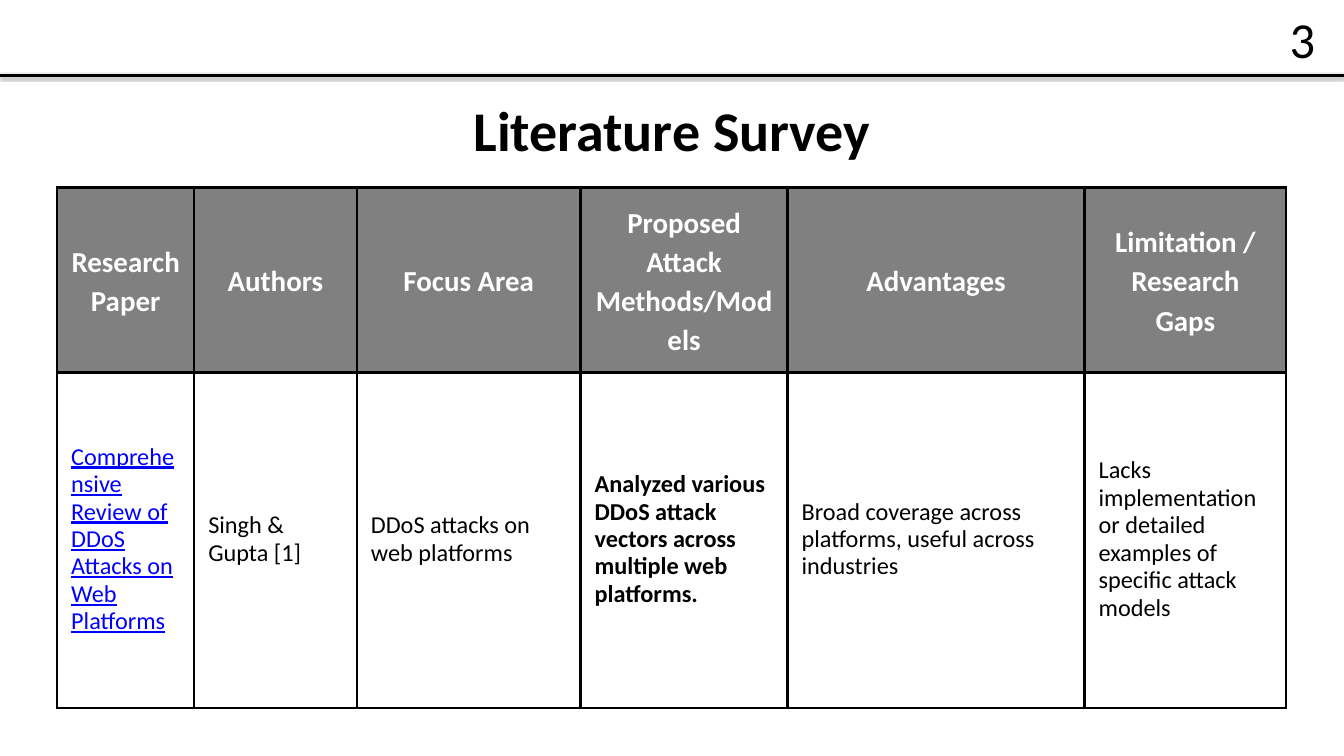
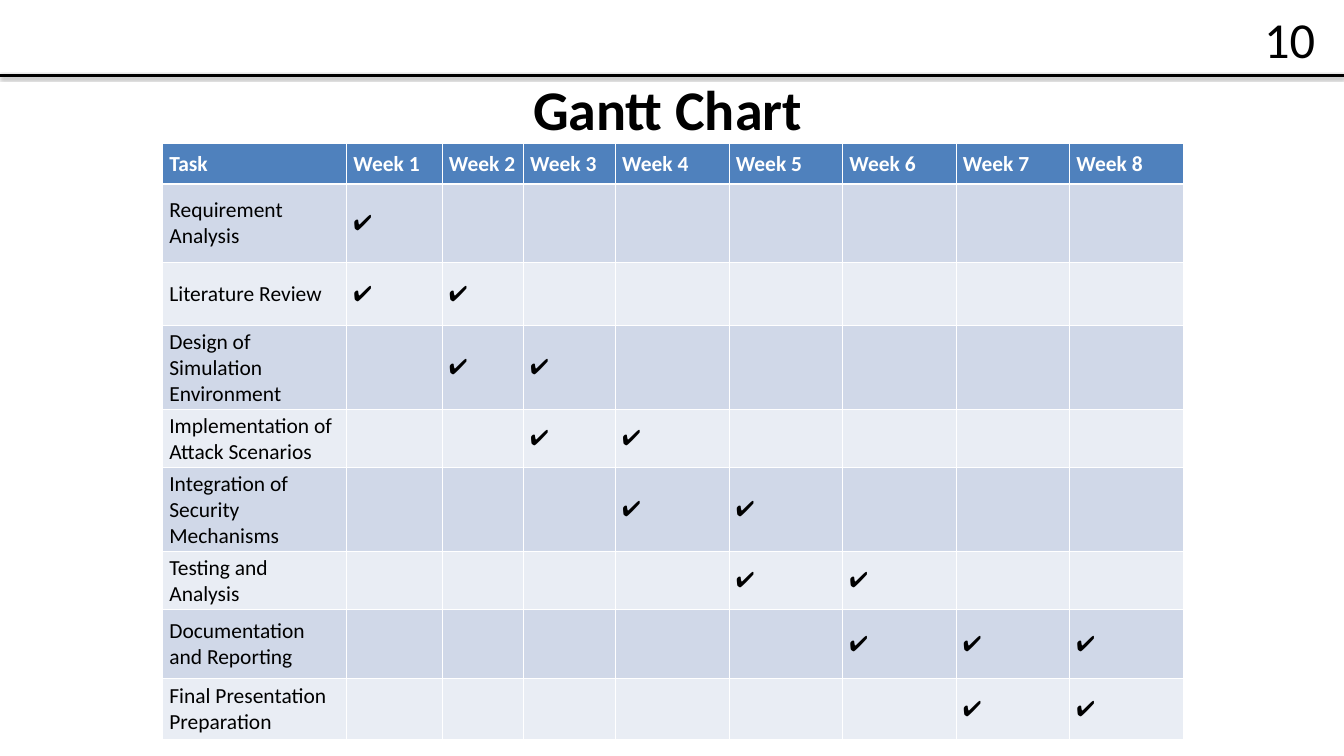
import pptx
import pptx.dml.color
import pptx.enum.shapes
import pptx.enum.text
import pptx.oxml
import pptx.oxml.ns
import pptx.util

PX = 9144  # 100 px to the inch
SLIDE_W, SLIDE_H = 2000, 1125
FONT = "Calibri"
COLORS = {
    "ink": "000000",
    "paper": "FFFFFF",
    "link": "0000FF",
    "survey_head": "808080",
    "gantt_head": "4F81BD",
    "band_dark": "D0D8E8",
    "band_light": "E9EDF4",
}
ALIGN = pptx.enum.text.PP_ALIGN
MIDDLE = pptx.enum.text.MSO_ANCHOR.MIDDLE

SURVEY_COLS = [204, 242, 333, 308, 442, 300]
SURVEY_ROWS = [121, 499]
SURVEY_HEAD = ["Research Paper", "Authors", "Focus Area",
               "Proposed Attack Methods/Models", "Advantages",
               "Limitation / Research Gaps"]
SURVEY_BODY = [
    ("Comprehensive Review of DDoS Attacks on Web Platforms",
     {"color": "link", "underline": True}),
    ("Singh & Gupta [1]", {}),
    ("DDoS attacks on web platforms", {}),
    ("Analyzed various DDoS attack vectors across multiple web platforms.",
     {"bold": True}),
    ("Broad coverage across platforms, useful across industries", {}),
    ("Lacks implementation or detailed examples of specific attack models", {}),
]

WEEKS = 8
GANTT_COLS = [274, 142, 121, 137] + [169] * 5
GANTT_HEAD_HEIGHT = 60
GANTT_TASKS = [  # task, first week, last week, row height
    ("Requirement Analysis", 1, 1, 117),
    ("Literature Review", 1, 2, 93),
    ("Design of Simulation Environment", 2, 3, 121),
    ("Implementation of Attack Scenarios", 3, 4, 84),
    ("Integration of Security Mechanisms", 4, 5, 121),
    ("Testing and Analysis", 5, 6, 77),
    ("Documentation and Reporting", 6, 8, 103),
    ("Final Presentation Preparation", 7, 8, 90),
]


def px(n):
    return pptx.util.Emu(n * PX)


def rgb(name):
    return pptx.dml.color.RGBColor.from_string(COLORS[name])


def write(tf, text, size, color="ink", bold=False, underline=False,
          align=ALIGN.LEFT, spacing=None):
    p = tf.paragraphs[0]
    p.alignment = align
    if spacing:
        p.line_spacing = pptx.util.Pt(spacing)
    r = p.add_run()
    r.text = text
    r.font.name = FONT
    r.font.size = pptx.util.Pt(size)
    r.font.bold = bold
    r.font.underline = underline
    r.font.color.rgb = rgb(color)


def add_text(slide, box, margins=None):
    tf = slide.shapes.add_textbox(*map(px, box)).text_frame
    tf.word_wrap = True
    if margins is not None:
        set_margins(tf, margins)
    return tf


def set_margins(target, margin):
    target.margin_left = target.margin_right = px(margin)
    target.margin_top = target.margin_bottom = px(margin)


def add_rule(slide):
    """Full-width line with a soft shadow below the page number."""
    line = slide.shapes.add_connector(
        pptx.enum.shapes.MSO_CONNECTOR.STRAIGHT,
        px(0), px(112), px(SLIDE_W), px(112))
    line.line.color.rgb = rgb("ink")
    line.line.width = pptx.util.Pt(3)
    line._element.spPr.append(pptx.oxml.parse_xml(
        f'<a:effectLst {pptx.oxml.ns.nsdecls("a")}>'
        '<a:outerShdw blurRad="40000" dist="23000" dir="5400000" rotWithShape="0">'
        f'<a:srgbClr val="{COLORS["ink"]}"><a:alpha val="35000"/></a:srgbClr>'
        '</a:outerShdw></a:effectLst>'))


def add_page(prs, title, title_box, number):
    """Blank slide with the shared rule, title and page number."""
    slide = prs.slides.add_slide(prs.slide_layouts[6])
    add_rule(slide)
    tf = add_text(slide, title_box, 0)
    tf.auto_size = pptx.enum.text.MSO_AUTO_SIZE.SHAPE_TO_FIT_TEXT
    write(tf, title, 60, bold=True, align=ALIGN.CENTER, spacing=77)
    tf = add_text(slide, (1700, 21, 267, 73))
    tf.vertical_anchor = MIDDLE
    write(tf, str(number), 54, align=ALIGN.RIGHT)
    return slide


def add_grid(slide, box, cols, rows):
    """Table without style options, with the given column and row sizes."""
    frame = slide.shapes.add_table(len(rows), len(cols), *map(px, box))
    table = frame.table
    table.first_row = table.horz_banding = False
    for column, width in zip(table.columns, cols):
        column.width = px(width)
    for row, height in zip(table.rows, rows):
        row.height = px(height)
    frame.width, frame.height = px(box[2]), px(box[3])
    return table


def style_cell(cell, border, fill=None, width=3, top=None, bottom=None):
    """Middle anchor, fill and four borders; widths in points."""
    cell.vertical_anchor = MIDDLE
    if fill:
        cell.fill.solid()
        cell.fill.fore_color.rgb = rgb(fill)
    else:
        cell.fill.background()
    tc_pr = cell._tc.get_or_add_tcPr()
    sides = {"L": width, "R": width, "T": top or width, "B": bottom or width}
    for i, (side, points) in enumerate(sides.items()):
        tc_pr.insert(i, pptx.oxml.parse_xml(
            f'<a:ln{side} {pptx.oxml.ns.nsdecls("a")} w="{points * 12700}">'
            f'<a:solidFill><a:srgbClr val="{COLORS[border]}"/></a:solidFill>'
            f'</a:ln{side}>'))


def add_survey_table(slide, box):
    table = add_grid(slide, box, SURVEY_COLS, SURVEY_ROWS)
    for c, (heading, (text, look)) in enumerate(zip(SURVEY_HEAD, SURVEY_BODY)):
        head, body = table.cell(0, c), table.cell(1, c)
        style_cell(head, "ink", "survey_head")
        style_cell(body, "ink")
        set_margins(head, 21)
        set_margins(body, 21)
        write(head.text_frame, heading, 31, "paper", bold=True,
              align=ALIGN.CENTER, spacing=42)
        write(body.text_frame, text, 26, spacing=29.4, **look)


def add_gantt_table(slide, box):
    rows = [GANTT_HEAD_HEIGHT] + [task[-1] for task in GANTT_TASKS]
    table = add_grid(slide, box, GANTT_COLS, rows)
    headings = ["Task"] + [f"Week {week}" for week in range(1, WEEKS + 1)]
    for c, heading in enumerate(headings):
        cell = table.cell(0, c)
        style_cell(cell, "paper", "gantt_head", 1, bottom=3)
        write(cell.text_frame, heading, 23, "paper", bold=True)
    for r, (task, first, last, _) in enumerate(GANTT_TASKS, 1):
        band = "band_dark" if r % 2 else "band_light"
        for c in range(WEEKS + 1):
            cell = table.cell(r, c)
            style_cell(cell, "paper", band, 1, top=3 if r == 1 else None)
            if c == 0:
                write(cell.text_frame, task, 23)
            elif first <= c <= last:
                write(cell.text_frame, "✔️", 23)


def main():
    prs = pptx.Presentation()
    prs.slide_width, prs.slide_height = px(SLIDE_W), px(SLIDE_H)
    survey = add_page(prs, "Literature Survey", (578, 135, 844, 103), 3)
    add_survey_table(survey, (85, 279, 1829, 771))
    gantt = add_page(prs, "Gantt Chart", (525, 104, 937, 103), 10)
    add_gantt_table(gantt, (242, 214, 1517, 887))
    prs.save("out.pptx")


if __name__ == "__main__":
    main()
